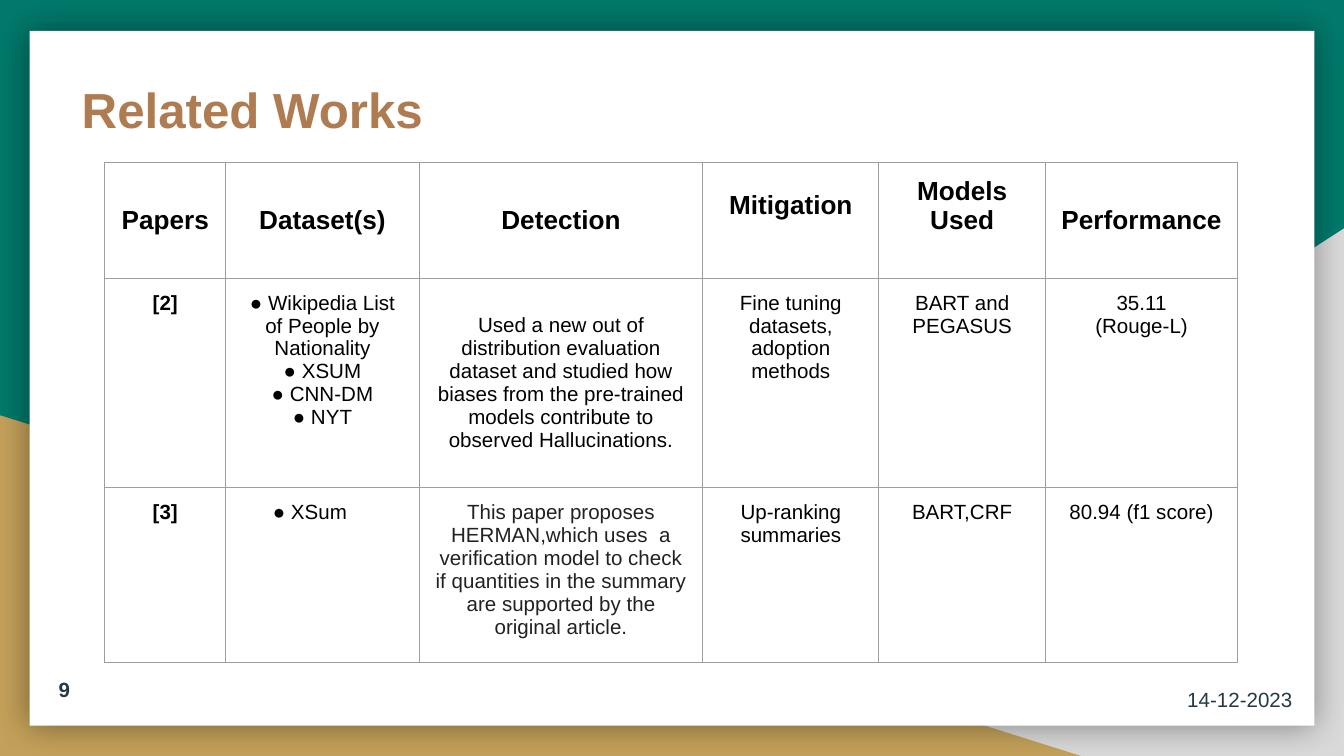
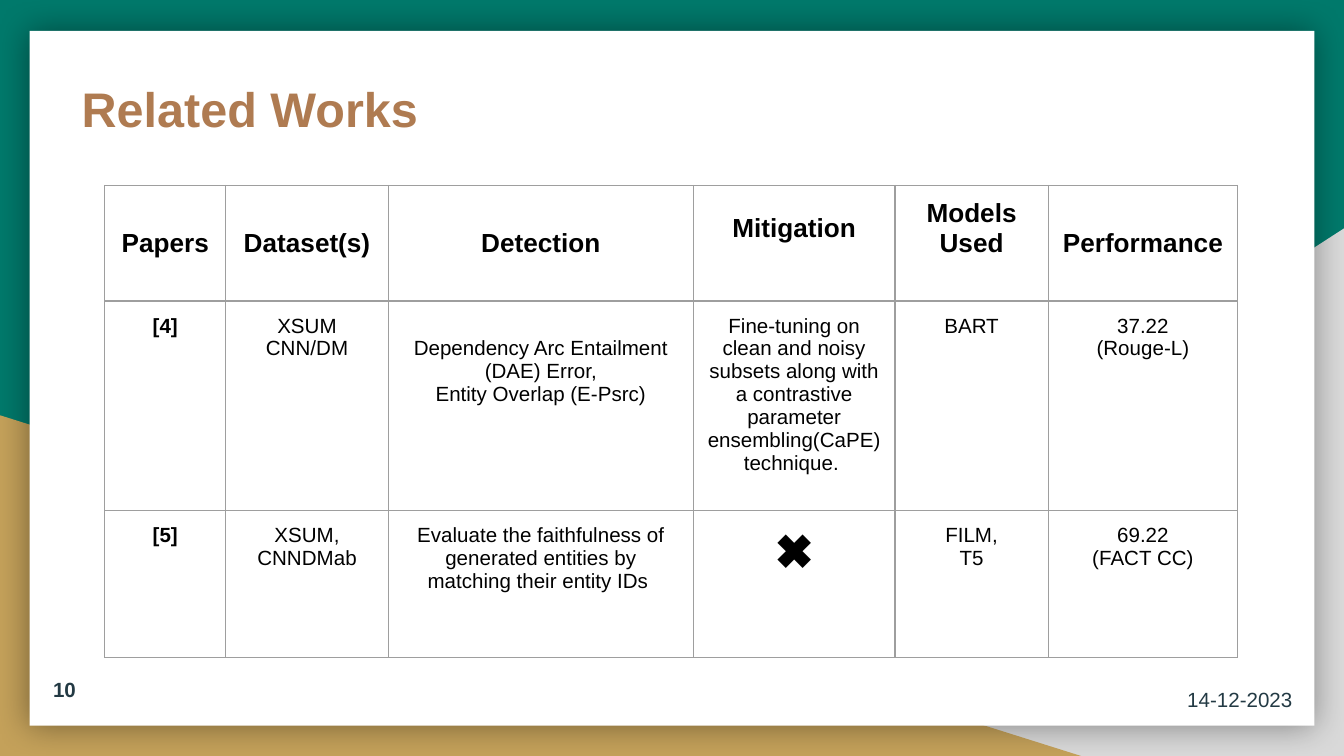
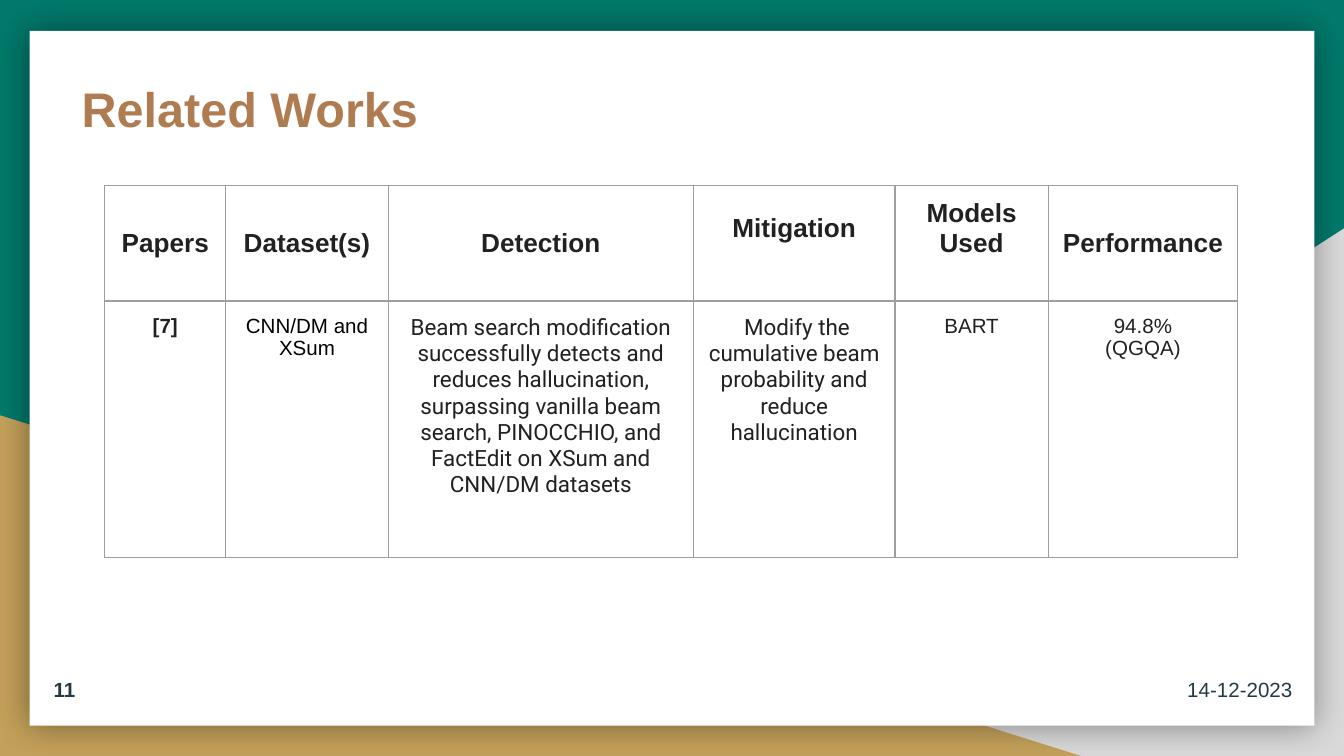
from dataclasses import dataclass

import pptx
import pptx.util
import pptx.dml.color
import pptx.enum.shapes
import pptx.enum.text
import pptx.oxml
import pptx.oxml.ns
from lxml import etree

Inches = pptx.util.Inches
Pt = pptx.util.Pt
Shapes = pptx.enum.shapes.MSO_SHAPE
Align = pptx.enum.text.PP_ALIGN
Anchor = pptx.enum.text.MSO_ANCHOR


@dataclass(frozen=True)
class Theme:
    font: str = "Arial"
    accent_font: str = "Roboto"
    green: str = "00796B"
    gray: str = "D9D9D9"
    gold: str = "C4A15A"
    white: str = "FFFFFF"
    title: str = "AF7B51"
    footer: str = "233A44"
    border: str = "9E9E9E"
    black: str = "000000"
    charcoal: str = "212121"
    title_size: float = 26
    header_size: float = 14
    accent_size: float = 12
    body_size: float = 11
    mark_size: float = 26
    border_width: float = 0.75
    inset: float = 0.1


THEME = Theme()
ACCENT = {"font": THEME.accent_font, "size": THEME.accent_size, "color": THEME.charcoal}
CHARCOAL = {"color": THEME.charcoal}
LINE_DOWN = {"top": 0.27}  # text starts one body line lower
LINE_UP = {"top": 0.08, "bottom": 0.3}  # text sits half a header line higher

TITLE = "Related Works"
DATE = "14-12-2023"
HEADERS = [
    "Papers", "Dataset(s)", "Detection",
    ("Mitigation", LINE_UP), ("Models\nUsed", LINE_UP), "Performance",
]
HEADER_HEIGHT = 0.86
TABLE_LEFT = 0.78
COMPACT_COLUMNS = [0.9, 1.21, 2.27, 1.5, 1.14, 1.41]

# A cell is its text, or its text with the format that differs from the rest.
SLIDES = [
    {
        "number": 9, "title_size": 26.4, "table_top": 1.21, "date_top": 5.05,
        "columns": [0.9, 1.44, 2.11, 1.31, 1.24, 1.43],
        "row_heights": [1.56, 1.13],
        "rows": [
            ["[2]",
             "● Wikipedia List\nof People by\nNationality\n● XSUM\n● CNN-DM\n● NYT",
             ("Used a new out of distribution evaluation dataset and studied how "
              "biases from the pre-trained models contribute to observed "
              "Hallucinations.", LINE_DOWN),
             "Fine tuning datasets,\nadoption methods",
             "BART and PEGASUS",
             "35.11\n(Rouge-L)"],
            ["[3]",
             ("● XSum", {"align": Align.LEFT, "left": 0.35}),
             ("This paper proposes HERMAN,which uses  a verification model to "
              "check if quantities in the summary are supported by the original "
              "article.", CHARCOAL),
             "Up-ranking summaries",
             "BART,CRF",
             "80.94 (f1 score)"],
        ],
    },
    {
        "number": 10, "table_top": 1.38, "date_top": 5.05,
        "columns": COMPACT_COLUMNS,
        "row_heights": [1.56, 1.09],
        "rows": [
            ["[4]",
             "XSUM\nCNN/DM",
             ("Dependency Arc Entailment (DAE) Error,\nEntity Overlap (E-Psrc)",
              LINE_DOWN),
             "Fine-tuning on clean and noisy subsets along with a contrastive "
             "parameter ensembling(CaPE) technique. ",
             "BART",
             "37.22\n(Rouge-L)"],
            ["[5]",
             "XSUM,\nCNNDMab",
             "Evaluate the faithfulness of generated entities by matching their "
             "entity IDs ",
             ("✖", {"size": THEME.mark_size}),
             "FILM,\nT5",
             "69.22\n(FACT CC)"],
        ],
    },
    {
        "number": 11, "table_top": 1.38, "date_top": 4.97,
        "columns": COMPACT_COLUMNS,
        "row_heights": [1.91],
        "header_color": THEME.charcoal,
        "rows": [
            [("[7]", CHARCOAL),
             "CNN/DM and XSum",
             ("Beam search modification successfully detects and reduces "
              "hallucination, surpassing vanilla beam search, PINOCCHIO, and "
              "FactEdit on XSum and CNN/DM datasets", ACCENT),
             (" Modify the cumulative beam probability and reduce hallucination",
              ACCENT),
             ("BART", CHARCOAL),
             ("94.8%\n(QGQA)", CHARCOAL)],
        ],
    },
]


def rgb(color):
    return pptx.dml.color.RGBColor.from_string(color)


def write_text(frame, text, *, size=THEME.body_size, color=THEME.black,
               font=THEME.font, bold=False, align=Align.CENTER):
    """Fill a text frame with one paragraph for each line of the text."""
    for index, line in enumerate(text.split("\n")):
        paragraph = frame.add_paragraph() if index else frame.paragraphs[0]
        paragraph.alignment = align
        run = paragraph.add_run()
        run.text = line
        run.font.name = font
        run.font.size = Pt(size)
        run.font.bold = bold
        run.font.color.rgb = rgb(color)


def set_margins(holder, left=THEME.inset, top=THEME.inset,
                right=THEME.inset, bottom=THEME.inset):
    holder.margin_left, holder.margin_top = Inches(left), Inches(top)
    holder.margin_right, holder.margin_bottom = Inches(right), Inches(bottom)


def add_text_box(slide, text, box, anchor=Anchor.MIDDLE, **text_format):
    frame = slide.shapes.add_textbox(*map(Inches, box)).text_frame
    frame.word_wrap = True
    frame.vertical_anchor = anchor
    set_margins(frame)
    write_text(frame, text, **text_format)


def add_plain_shape(slide, kind, box, color):
    shape = slide.shapes.add_shape(kind, *map(Inches, box))
    shape.shadow.inherit = False
    shape.fill.solid()
    shape.fill.fore_color.rgb = rgb(color)
    shape.line.fill.background()
    return shape


def add_soft_shadow(shape):
    effects = shape._element.spPr.find(pptx.oxml.ns.qn("a:effectLst"))
    shadow = etree.SubElement(effects, pptx.oxml.ns.qn("a:outerShdw"),
                              blurRad=str(Pt(18)), dist="0", dir="0",
                              algn="ctr", rotWithShape="0")
    color = etree.SubElement(shadow, pptx.oxml.ns.qn("a:srgbClr"), val=THEME.black)
    etree.SubElement(color, pptx.oxml.ns.qn("a:alpha"), val="40000")


def add_backdrop(slide):
    slide.background.fill.solid()
    slide.background.fill.fore_color.rgb = rgb(THEME.green)
    right_corner = add_plain_shape(slide, Shapes.RIGHT_TRIANGLE,
                                   (3.92, 1.7, 6.08, 3.93), THEME.gray)
    right_corner._element.spPr.xfrm.set("flipH", "1")
    add_plain_shape(slide, Shapes.RIGHT_TRIANGLE, (0, 3.09, 8.06, 2.54), THEME.gold)
    card = add_plain_shape(slide, Shapes.RECTANGLE, (0.22, 0.23, 9.56, 5.17), THEME.white)
    add_soft_shadow(card)


def add_borders(cell):
    properties = cell._tc.get_or_add_tcPr()
    for side in ("lnL", "lnR", "lnT", "lnB"):
        line = etree.SubElement(properties, pptx.oxml.ns.qn("a:" + side),
                                w=str(Pt(THEME.border_width)))
        fill = etree.SubElement(line, pptx.oxml.ns.qn("a:solidFill"))
        etree.SubElement(fill, pptx.oxml.ns.qn("a:srgbClr"), val=THEME.border)


def fill_cell(cell, content, anchor, **defaults):
    text, changes = content if isinstance(content, tuple) else (content, {})
    margins = {key: changes[key] for key in ("left", "top", "bottom") if key in changes}
    text_format = {key: value for key, value in changes.items() if key not in margins}
    add_borders(cell)
    cell.fill.background()
    cell.vertical_anchor = anchor
    set_margins(cell, **margins)
    write_text(cell.text_frame, text, **{**defaults, **text_format})


def add_papers_table(slide, page):
    rows = [HEADERS] + page["rows"]
    heights = [HEADER_HEIGHT] + page["row_heights"]
    widths = page["columns"]
    box = (TABLE_LEFT, page["table_top"], sum(widths), sum(heights))
    table = slide.shapes.add_table(len(rows), len(widths), *map(Inches, box)).table
    table.first_row = table.horz_banding = False
    for column, width in zip(table.columns, widths):
        column.width = Inches(width)
    for row_index, (contents, height) in enumerate(zip(rows, heights)):
        table.rows[row_index].height = Inches(height)
        for column_index, content in enumerate(contents):
            cell = table.cell(row_index, column_index)
            if row_index == 0:
                fill_cell(cell, content, Anchor.MIDDLE, size=THEME.header_size, bold=True,
                          color=page.get("header_color", THEME.black))
            else:
                fill_cell(cell, content, Anchor.TOP, bold=column_index == 0)


def add_related_works_slide(presentation, page):
    slide = presentation.slides.add_slide(presentation.slide_layouts[6])
    add_backdrop(slide)
    add_text_box(slide, TITLE, (0.51, 0.49, 3.1, 0.89), anchor=Anchor.TOP,
                 size=page.get("title_size", THEME.title_size), color=THEME.title,
                 bold=True, align=Align.LEFT)
    add_papers_table(slide, page)
    add_text_box(slide, str(page["number"]), (0.21, 4.88, 0.54, 0.49),
                 color=THEME.footer, bold=True)
    add_text_box(slide, DATE, (8.7, page["date_top"], 1.05, 0.31), color=THEME.footer)


def main():
    presentation = pptx.Presentation()
    presentation.slide_width = Inches(10)
    presentation.slide_height = Inches(10) * 9 // 16
    for page in SLIDES:
        add_related_works_slide(presentation, page)
    presentation.save("out.pptx")


if __name__ == "__main__":
    main()
